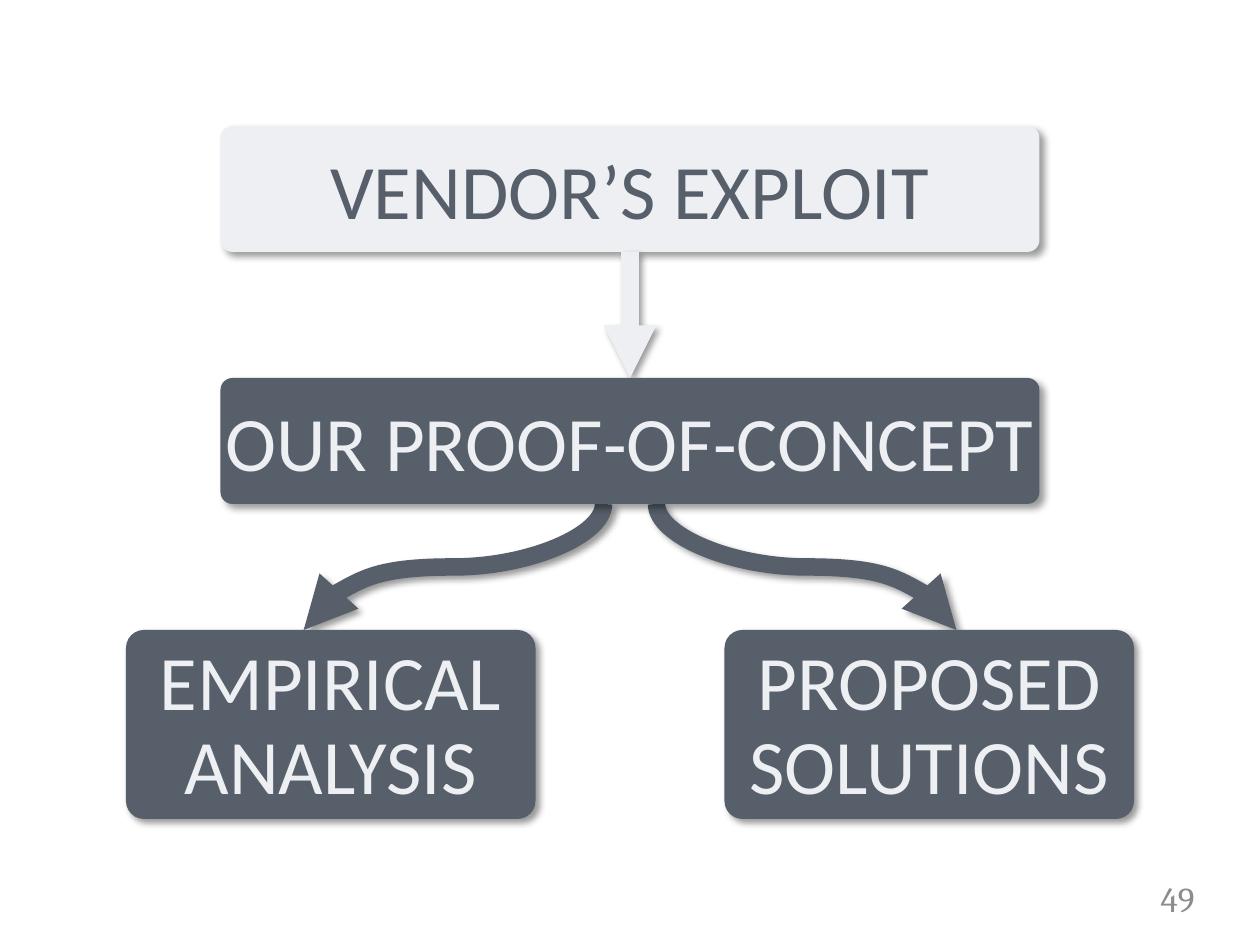
"""Build a slide with a flow from an exploit to analysis and solutions."""
from lxml import etree
from pptx import Presentation
from pptx import util as u
from pptx.dml.color import RGBColor
from pptx.enum import shapes, text
from pptx.oxml import ns, parse_xml

DARK = RGBColor(0x56, 0x5F, 0x6A)
LIGHT = RGBColor(0xED, 0xEF, 0xF3)
GREY = RGBColor(0x8C, 0x8C, 0x8C)


def write_text(sp, content, size=44, font="Calibri", color=LIGHT,
               align=text.PP_ALIGN.CENTER, spacing=None, inset=0, top=0):
    tf = sp.text_frame
    tf.word_wrap = True
    tf.vertical_anchor = text.MSO_ANCHOR.MIDDLE
    tf.margin_left = tf.margin_right = u.Inches(inset)
    tf.margin_top, tf.margin_bottom = u.Inches(top), 0
    p = tf.paragraphs[0]
    p.text = content
    p.alignment = align
    p.line_spacing = spacing
    for r in p.runs:
        r.font.size = u.Pt(size)
        r.font.name = font
        r.font.color.rgb = color


def add_shadow(sp):
    sp._element.spPr.append(parse_xml(
        f'<a:effectLst {ns.nsdecls("a")}>'
        '<a:outerShdw blurRad="50800" dist="38100" dir="2700000" algn="tl" rotWithShape="0">'
        '<a:srgbClr val="000000"><a:alpha val="40000"/></a:srgbClr>'
        '</a:outerShdw></a:effectLst>'))


prs = Presentation()
prs.slide_width, prs.slide_height = u.Inches(10), u.Inches(7.5)
s = prs.slides.add_slide(prs.slide_layouts[6])

number = s.shapes.add_textbox(u.Inches(8.83), u.Inches(6.93), u.Inches(0.75), u.Inches(0.4))
write_text(number, "49", size=20, font="Cambria", color=GREY,
           align=text.PP_ALIGN.RIGHT, inset=0.1)

CURVE, STRAIGHT = shapes.MSO_CONNECTOR.CURVE, shapes.MSO_CONNECTOR.STRAIGHT
arrows = [
    (CURVE, 3.1, 3.31, 4.1, 5.69, 90, DARK),
    (CURVE, 6.9, 3.31, 5.9, 5.69, 270, DARK),
    (STRAIGHT, 5, 2, 5, 3, 0, LIGHT),
]
for kind, x1, y1, x2, y2, angle, color in arrows:
    arrow = s.shapes.add_connector(kind, u.Inches(x1), u.Inches(y1), u.Inches(x2), u.Inches(y2))
    if angle:
        arrow._element.spPr.find(ns.qn("a:xfrm")).set("rot", str(angle * 60000))
    arrow.line.color.rgb = color
    arrow.line.width = u.Pt(10)
    ln = arrow._element.spPr.find(ns.qn("a:ln"))
    etree.SubElement(ln, ns.qn("a:tailEnd"), type="triangle")
    add_shadow(arrow)

boxes = [
    ("PROPOSED\nSOLUTIONS", 5.75, 5, 3.25, 1.5, DARK, LIGHT),
    ("OUR PROOF-OF-CONCEPT", 1.75, 3, 6.5, 1, DARK, LIGHT),
    ("EMPIRICAL\nANALYSIS", 1, 5, 3.25, 1.5, DARK, LIGHT),
    ("VENDOR’S EXPLOIT", 1.75, 1, 6.5, 1, LIGHT, DARK),
]
for label, x, y, w, h, fill, color in boxes:
    box = s.shapes.add_shape(shapes.MSO_SHAPE.ROUNDED_RECTANGLE,
                             u.Inches(x), u.Inches(y), u.Inches(w), u.Inches(h))
    box.adjustments[0] = 0.095
    box.fill.solid()
    box.fill.fore_color.rgb = fill
    box.line.fill.background()
    add_shadow(box)
    two_lines = "\n" in label
    write_text(box, label, color=color, spacing=0.9 if two_lines else None,
               top=0.05 if two_lines else 0)

number._element.addnext(box._element)

prs.save("out.pptx")
